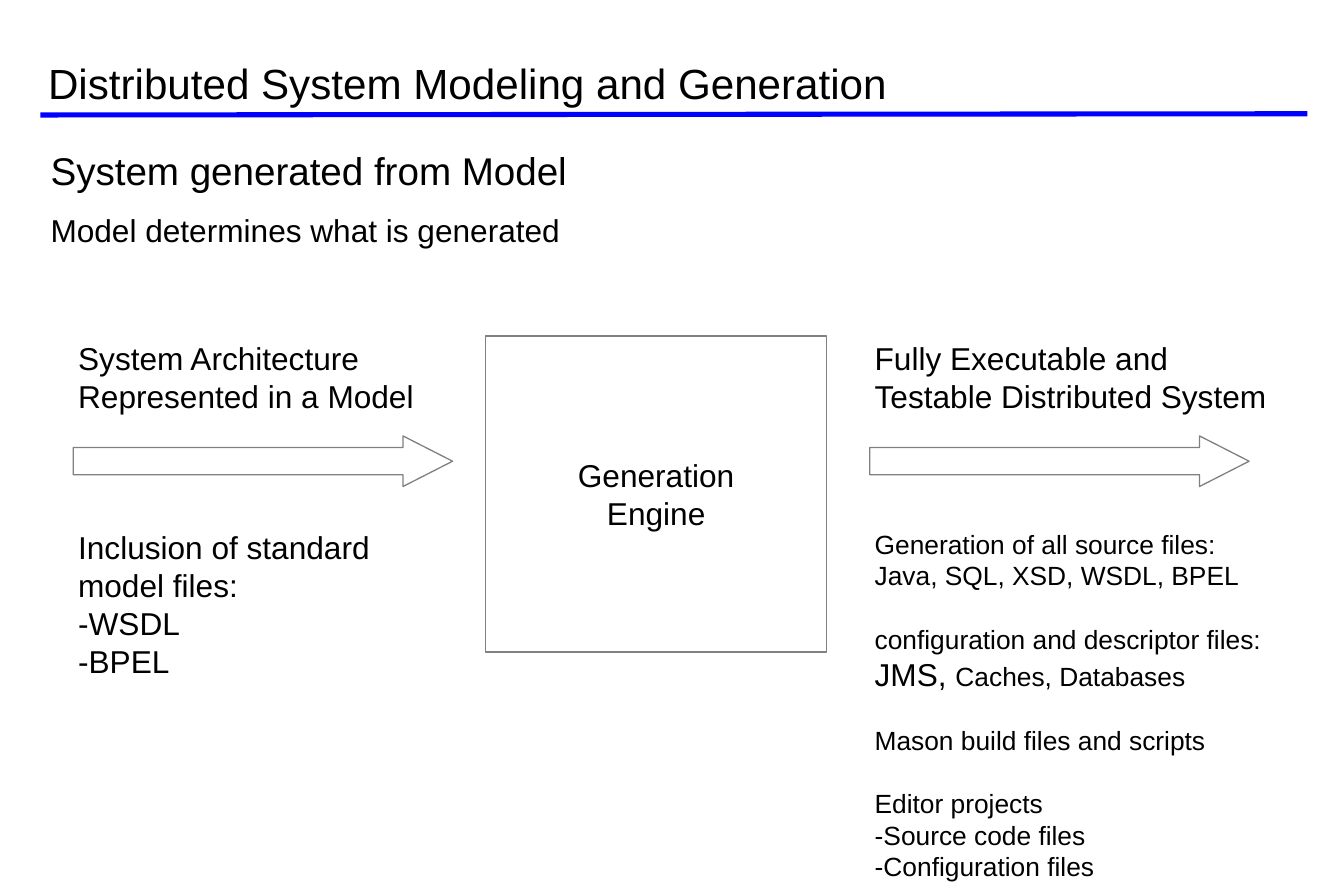
"""Build a slide on generating a distributed system from its model."""
from lxml.etree import SubElement
from pptx import Presentation
from pptx.dml.color import RGBColor
from pptx.enum.shapes import MSO_CONNECTOR, MSO_SHAPE
from pptx.enum.text import MSO_ANCHOR, MSO_AUTO_SIZE, PP_ALIGN
from pptx.oxml.ns import qn
from pptx.util import Inches, Pt

BLACK = RGBColor(0x00, 0x00, 0x00)
WHITE = RGBColor(0xFF, 0xFF, 0xFF)
GRAY = RGBColor(0x80, 0x80, 0x80)
BLUE = RGBColor(0x00, 0x00, 0xFF)

FONT = "Arial"
LARGE, SMALL = 18, 15
LEADING = 1.2
CELL = 0.1

# Each line is (runs, blank space above in points); each run is (text, size).
TITLE = [([("Distributed System Modeling and Generation", 24)], 0)]
SUMMARY = [
    ([("System generated from Model", 22)], 0),
    ([("Model determines what is generated", LARGE)], 10.3),
]
ENGINE = [([("Generation", LARGE)], 0), ([("Engine", LARGE)], 0)]
ARROW_GAP = 3 * LARGE * LEADING
GROUP_GAP = SMALL * LEADING
INPUT = [
    ([("System Architecture", LARGE)], 0),
    ([("Represented in a Model", LARGE)], 0),
    ([("Inclusion of standard", LARGE)], ARROW_GAP),
    ([("model files:", LARGE)], 0),
    ([("-WSDL", LARGE)], 0),
    ([("-BPEL", LARGE)], 0),
]
OUTPUT = [
    ([("Fully Executable and", LARGE)], 0),
    ([("Testable Distributed System", LARGE)], 0),
    ([("Generation of all source files:", SMALL)], ARROW_GAP),
    ([("Java, SQL, XSD, WSDL, BPEL", SMALL)], 0),
    ([("configuration and descriptor files:", SMALL)], GROUP_GAP),
    ([("JMS, ", LARGE), ("Caches, Databases", SMALL)], 0),
    ([("Mason build files and scripts", SMALL)], GROUP_GAP),
    ([("Editor projects", SMALL)], GROUP_GAP),
    ([("-Source code files", SMALL)], 0),
    ([("-Configuration files", SMALL)], 0),
]
FLOWS = [(5.2, INPUT, 26.2), (68.2, OUTPUT, 43)]
FLOW_TOP, FLOW_WIDTH = 26.3, 35
ARROW_INDENT, ARROW_TOP, ARROW_SIZE = 0.6, 34.5, (30, 4)


def grid(*cells):
    return [Inches(cell * CELL) for cell in cells]


def place(shape, *cells):
    shape.left, shape.top, shape.width, shape.height = grid(*cells)
    return shape


def write(shape, lines, align=PP_ALIGN.LEFT, anchor=MSO_ANCHOR.TOP):
    frame = shape.text_frame
    frame.word_wrap = True
    frame.auto_size = MSO_AUTO_SIZE.NONE
    frame.vertical_anchor = anchor
    for index, (runs, gap) in enumerate(lines):
        paragraph = frame.add_paragraph() if index else frame.paragraphs[0]
        paragraph.alignment = align
        paragraph.space_before = Pt(gap)
        paragraph.space_after = Pt(0)
        paragraph.line_spacing = Pt(LEADING * max(size for _, size in runs))
        for text, size in runs:
            run = paragraph.add_run()
            run.text = text
            run.font.name = FONT
            run.font.size = Pt(size)
            run.font.color.rgb = BLACK


def remove_bullets(shape):
    for paragraph in shape.text_frame.paragraphs:
        properties = paragraph._p.get_or_add_pPr()
        properties.set("marL", "0")
        properties.set("indent", "0")
        SubElement(properties, qn("a:buNone"))


def outline_shape(slide, preset, *cells):
    shape = slide.shapes.add_shape(preset, *grid(*cells))
    shape.shadow.inherit = False
    shape.fill.solid()
    shape.fill.fore_color.rgb = WHITE
    shape.line.color.rgb = GRAY
    shape.line.width = Pt(0)
    return shape


def main():
    deck = Presentation()
    deck.slide_width, deck.slide_height = Inches(10.63), Inches(7.09)
    slide = deck.slides.add_slide(deck.slide_layouts[1])

    write(place(slide.shapes.title, 2.8, 4, 75, 4.7), TITLE)
    summary = place(slide.placeholders[1], 3, 11.1, 50, 9.5)
    write(summary, SUMMARY)
    remove_bullets(summary)

    rule = slide.shapes.add_connector(
        MSO_CONNECTOR.STRAIGHT, *grid(3.2, 9.1, 103.4, 9))
    rule.line.color.rgb = BLUE
    rule.line.width = Pt(2.89)
    SubElement(rule._element.spPr, qn("a:effectLst"))

    engine = outline_shape(slide, MSO_SHAPE.RECTANGLE, 38.4, 26.6, 27, 25)
    write(engine, ENGINE, align=PP_ALIGN.CENTER, anchor=MSO_ANCHOR.MIDDLE)

    for column, lines, height in FLOWS:
        flow = slide.shapes.add_textbox(
            *grid(column, FLOW_TOP, FLOW_WIDTH, height))
        write(flow, lines)
        arrow = outline_shape(slide, MSO_SHAPE.RIGHT_ARROW,
                              column + ARROW_INDENT, ARROW_TOP, *ARROW_SIZE)
        arrow.adjustments[0], arrow.adjustments[1] = 0.54, 0.98

    deck.save("out.pptx")


if __name__ == "__main__":
    main()
